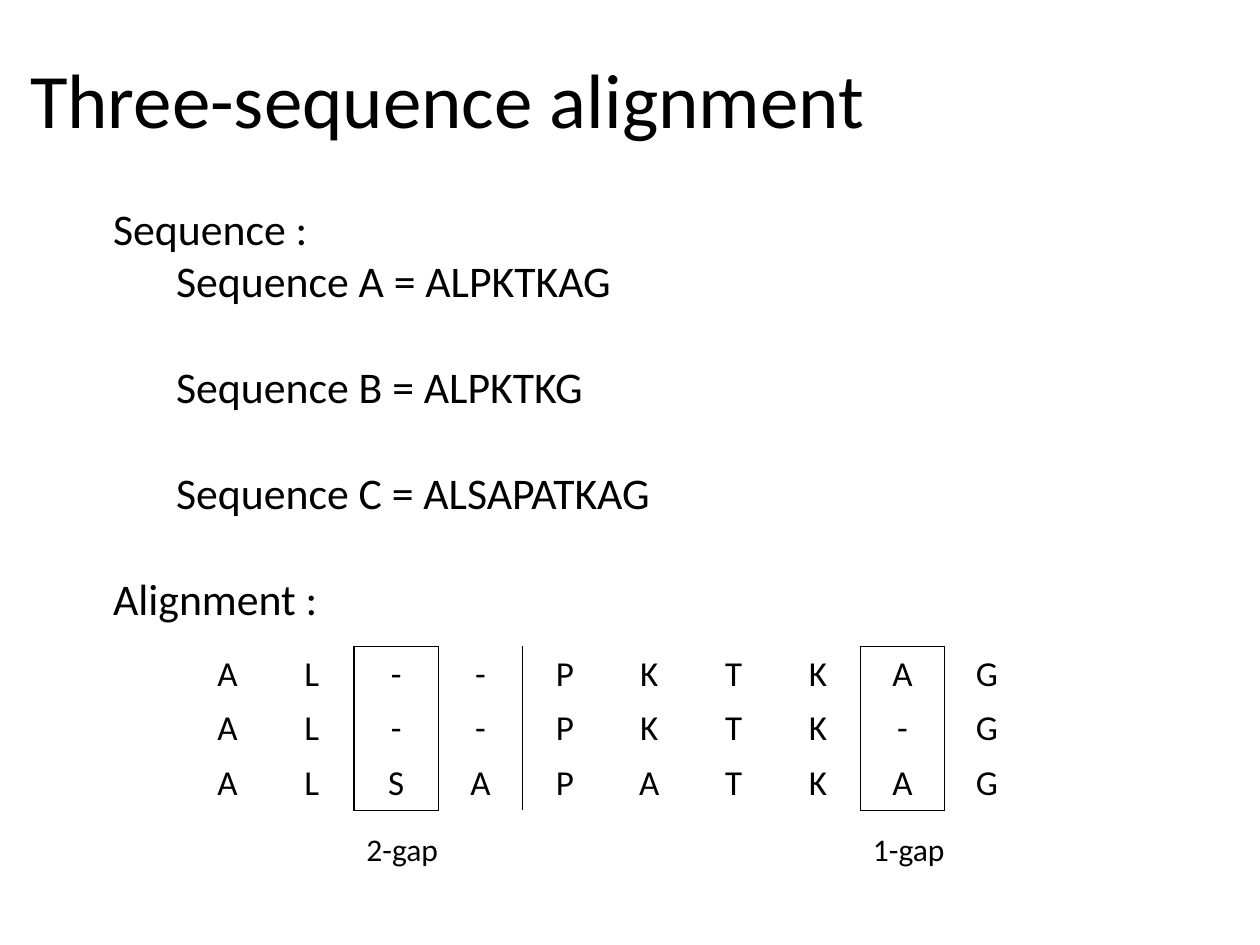
from dataclasses import dataclass
from lxml.etree import SubElement
from pptx import Presentation
from pptx.dml.color import RGBColor
from pptx.enum.text import MSO_ANCHOR, PP_ALIGN
from pptx.oxml.ns import qn
from pptx.slide import Slide
from pptx.util import Inches, Pt

BLACK = RGBColor(0, 0, 0)
WIDTH, HEIGHT = 10, 7.5
COLUMN, ROW = 0.67, 0.43
TABLE_LEFT, TABLE_TOP = 1.47, 5.13
ALIGNMENT = ["AL--PKTKAG", "AL--PKTK-G", "ALSAPATKAG"]
BOXED_COLUMNS = (2, 8)
RULED_EDGES = (2, 3, 4, 8, 9)
SEQUENCES = [
    ("Sequence :", 0, 0),
    ("Sequence A = ALPKTKAG", 1, 0),
    ("Sequence B = ALPKTKG", 1, 30.5),
    ("Sequence C = ALSAPATKAG", 1, 30.5),
    ("Alignment :", 0, 30.5),
]


@dataclass
class AlignmentSlide:
    """Draws text and the alignment table in one style on the current slide."""

    page: Slide
    font: str = "Calibri"
    color: RGBColor = BLACK

    def add_span(self, para, text, size):
        span = para.add_run()
        span.text = text
        span.font.name = self.font
        span.font.size = Pt(size)
        span.font.color.rgb = self.color

    def add_text(self, left, top, width, height, lines, size, wrap=False,
                 anchor=MSO_ANCHOR.TOP, spacing=None):
        box = self.page.shapes.add_textbox(
            Inches(left), Inches(top), Inches(width), Inches(height))
        frame = box.text_frame
        frame.word_wrap = wrap
        frame.vertical_anchor = anchor
        for index, (line, level, gap) in enumerate(lines):
            para = frame.add_paragraph() if index else frame.paragraphs[0]
            para.level = level
            para.line_spacing = spacing
            if gap:
                para.space_before = Pt(gap)
            self.add_span(para, line, size)

    def add_border(self, cell, side, visible):
        line = SubElement(cell._tc.get_or_add_tcPr(), qn(f"a:ln{side}"), w=str(Pt(1)))
        if visible:
            fill = SubElement(line, qn("a:solidFill"))
            SubElement(fill, qn("a:srgbClr"), val=str(self.color))
        else:
            SubElement(line, qn("a:noFill"))

    def add_grid(self, left, top, rows, size):
        count = len(rows[0])
        table = self.page.shapes.add_table(
            len(rows), count, Inches(left), Inches(top),
            Inches(COLUMN * count), Inches(ROW * len(rows))).table
        table.first_row = table.horz_banding = False
        for column in table.columns:
            column.width = Inches(COLUMN)
        for y, letters in enumerate(rows):
            table.rows[y].height = Inches(ROW)
            for x, letter in enumerate(letters):
                cell = table.cell(y, x)
                boxed = x in BOXED_COLUMNS
                self.add_border(cell, "L", x in RULED_EDGES)
                self.add_border(cell, "R", x + 1 in RULED_EDGES)
                self.add_border(cell, "T", boxed and y == 0)
                self.add_border(cell, "B", boxed and y == len(rows) - 1)
                cell.fill.background()
                cell.vertical_anchor = MSO_ANCHOR.MIDDLE
                para = cell.text_frame.paragraphs[0]
                para.alignment = PP_ALIGN.CENTER
                self.add_span(para, letter, size)


def main():
    deck = Presentation()
    deck.slide_width, deck.slide_height = Inches(WIDTH), Inches(HEIGHT)
    slide = AlignmentSlide(deck.slides.add_slide(deck.slide_layouts[6]))
    slide.add_text(0.14, 0.1, 8.62, 1.45, [("Three-sequence alignment", 0, 0)], 44,
                   wrap=True, anchor=MSO_ANCHOR.MIDDLE, spacing=0.9)
    slide.add_text(0.8, 1.55, 4.51, 3.47, SEQUENCES, 25)
    slide.add_grid(TABLE_LEFT, TABLE_TOP, ALIGNMENT, 20)
    for column, label in zip(BOXED_COLUMNS, ("2-gap", "1-gap")):
        slide.add_text(TABLE_LEFT + column * COLUMN, 6.54, 0.78, 0.4, [(label, 0, 0)], 18)
    deck.save("out.pptx")


if __name__ == "__main__":
    main()
